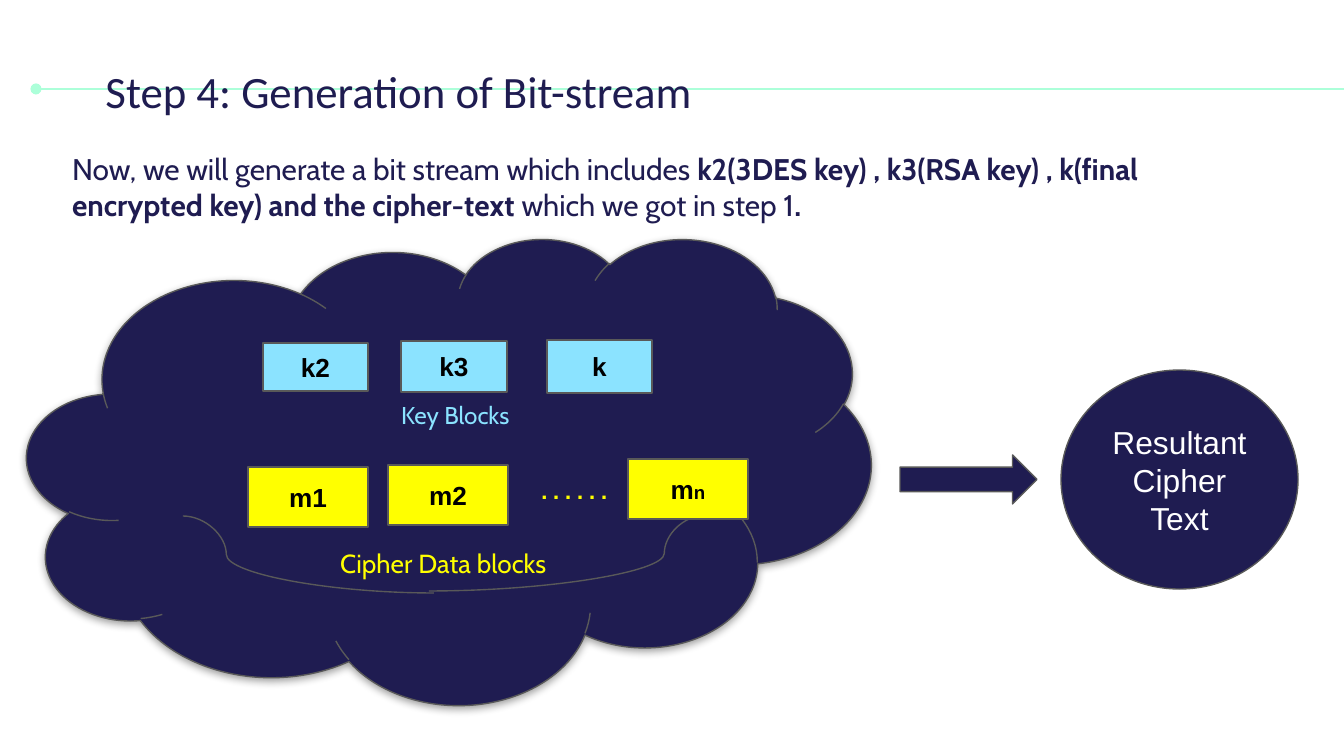
import pptx
import pptx.util
import pptx.dml.color
import pptx.enum.shapes
import pptx.enum.text
import pptx.oxml
import pptx.oxml.ns

NAVY, MINT, GREY = "1F1C51", "ACFFD9", "595959"
SKY, YELLOW, BLACK, WHITE = "8BE3FF", "FFFF00", "000000", "FFFFFF"
SHAPE = pptx.enum.shapes.MSO_SHAPE
CONNECTOR = pptx.enum.shapes.MSO_CONNECTOR
ANCHOR = pptx.enum.text.MSO_ANCHOR
ALIGN = pptx.enum.text.PP_ALIGN
NS = pptx.oxml.ns.nsdecls("a")
PX = 914400 / 134.4

prs = pptx.Presentation()
prs.slide_width, prs.slide_height = round(1344 * PX), round(756 * PX)
slide = prs.slides.add_slide(prs.slide_layouts[5])


def color(fmt, value):
    """Set a solid colour on a fill, a line or a font."""
    if hasattr(fmt, "solid"):
        fmt.solid()
        fmt.fore_color.rgb = pptx.dml.color.RGBColor.from_string(value)
    else:
        fmt.color.rgb = pptx.dml.color.RGBColor.from_string(value)


def write(s, runs, size=14, font="Cabin", ink=NAVY, align=ALIGN.LEFT, anchor=ANCHOR.TOP, after=0):
    """Fill a shape with one paragraph of (text, bold, size or None) runs."""
    tf = s.text_frame
    tf.word_wrap = True
    tf.auto_size = pptx.enum.text.MSO_AUTO_SIZE.NONE
    tf.vertical_anchor = anchor
    tf.margin_left = tf.margin_right = tf.margin_top = tf.margin_bottom = pptx.util.Inches(0.1)
    p = tf.paragraphs[0]
    p.alignment = align
    p.space_after = pptx.util.Pt(after)
    for text, bold, own_size in runs:
        r = p.add_run()
        r.text = text
        r.font.name, r.font.bold = font, bold
        r.font.size = pptx.util.Pt(own_size or size)
        color(r.font, ink)


# Title, with the rule running behind it
title = slide.shapes.title
title.left, title.top, title.width, title.height = [round(v * PX) for v in (92, 50, 894, 79)]
write(title, [("Step 4: Generation of Bit-stream", False, None)], size=24, font="Calibri")

# Rule and the two curves under the data blocks
lines = [
    (CONNECTOR.STRAIGHT, (36, 89, 1344, 89), MINT, 1.5, None),
    (CONNECTOR.CURVE, (183, 516, 434, 593), GREY, 0.75, 17300),
    (CONNECTOR.CURVE, (703, 516, 429, 591), GREY, 0.75, 14100),
]
connectors = []
for kind, ends, ink, width, bend in lines:
    c = slide.shapes.add_connector(kind, *[round(v * PX) for v in ends])
    color(c.line, ink)
    c.line.width = pptx.util.Pt(width)
    c._element.spPr.append(pptx.oxml.parse_xml(f"<a:effectLst {NS}/>"))
    if bend:
        guides = c._element.spPr.prstGeom.get_or_add_avLst()
        guides.append(pptx.oxml.parse_xml(f'<a:gd {NS} name="adj1" fmla="val {bend}"/>'))
    connectors.append(c)
rule, *curves = connectors
rule.line._get_or_add_ln().append(pptx.oxml.parse_xml(f'<a:headEnd {NS} type="oval"/>'))
slide.shapes._spTree.insert(2, rule._element)

# Cloud, blocks, arrow and result
shapes = [
    (SHAPE.CLOUD, (27, 238, 844, 466), NAVY, []),
    (SHAPE.RECTANGLE, (263, 343, 105, 48), SKY, [("k2", True, None)]),
    (SHAPE.RECTANGLE, (401, 341, 106, 51), SKY, [("k3", True, None)]),
    (SHAPE.RECTANGLE, (547, 340, 105, 53), SKY, [("k", True, None)]),
    (SHAPE.RECTANGLE, (248, 467, 120, 60), YELLOW, [("m1", True, None)]),
    (SHAPE.RECTANGLE, (388, 465, 120, 60), YELLOW, [("m2", True, None)]),
    (SHAPE.RECTANGLE, (628, 459, 120, 60), YELLOW, [("m", True, None), ("n", True, 10)]),
    (SHAPE.RIGHT_ARROW, (900, 455, 137, 49), NAVY, []),
    (SHAPE.OVAL, (1061, 370, 237, 219), NAVY, [("Resultant Cipher Text", False, 17)]),
]
for kind, box, fill, runs in shapes:
    s = slide.shapes.add_shape(kind, *[round(v * PX) for v in box])
    s.shadow.inherit = False
    color(s.fill, fill)
    color(s.line.fill, GREY)
    s.line.width = pptx.util.Pt(0.75)
    if runs:
        write(s, runs, font="Arial", ink=WHITE if fill == NAVY else BLACK,
              align=ALIGN.CENTER, anchor=ANCHOR.MIDDLE)
    if kind == SHAPE.CLOUD:
        effects = s._element.spPr.find(pptx.oxml.ns.qn("a:effectLst"))
        effects.append(pptx.oxml.parse_xml(
            f'<a:outerShdw {NS} blurRad="57150" dist="19050" dir="5400000" algn="bl" rotWithShape="0">'
            '<a:srgbClr val="000000"><a:alpha val="40000"/></a:srgbClr></a:outerShdw>'))
        # The curves lie on top of the cloud, under the blocks
        for c in curves:
            slide.shapes._spTree.append(c._element)

# Body text and labels
intro = [
    ("Now, we will generate a bit stream which includes", False, None),
    (" k2(3DES key) , k3(RSA key) , k(final encrypted key) and the cipher-text ", True, None),
    ("which we got in step 1", False, None),
    (".", True, None),
]
labels = [
    ((59, 137, 1208, 99), intro, 16, NAVY, 16),
    ((388, 387, 251, 56), [("Key Blocks", False, None)], 13, SKY, 0),
    ((327, 534, 301, 59), [("Cipher Data blocks", False, None)], 14, YELLOW, 0),
    ((528, 460, 144, 59), [(". . . . . .", True, None)], 14, YELLOW, 0),
]
for box, runs, size, ink, after in labels:
    s = slide.shapes.add_textbox(*[round(v * PX) for v in box])
    write(s, runs, size=size, ink=ink, after=after)

prs.save("out.pptx")
